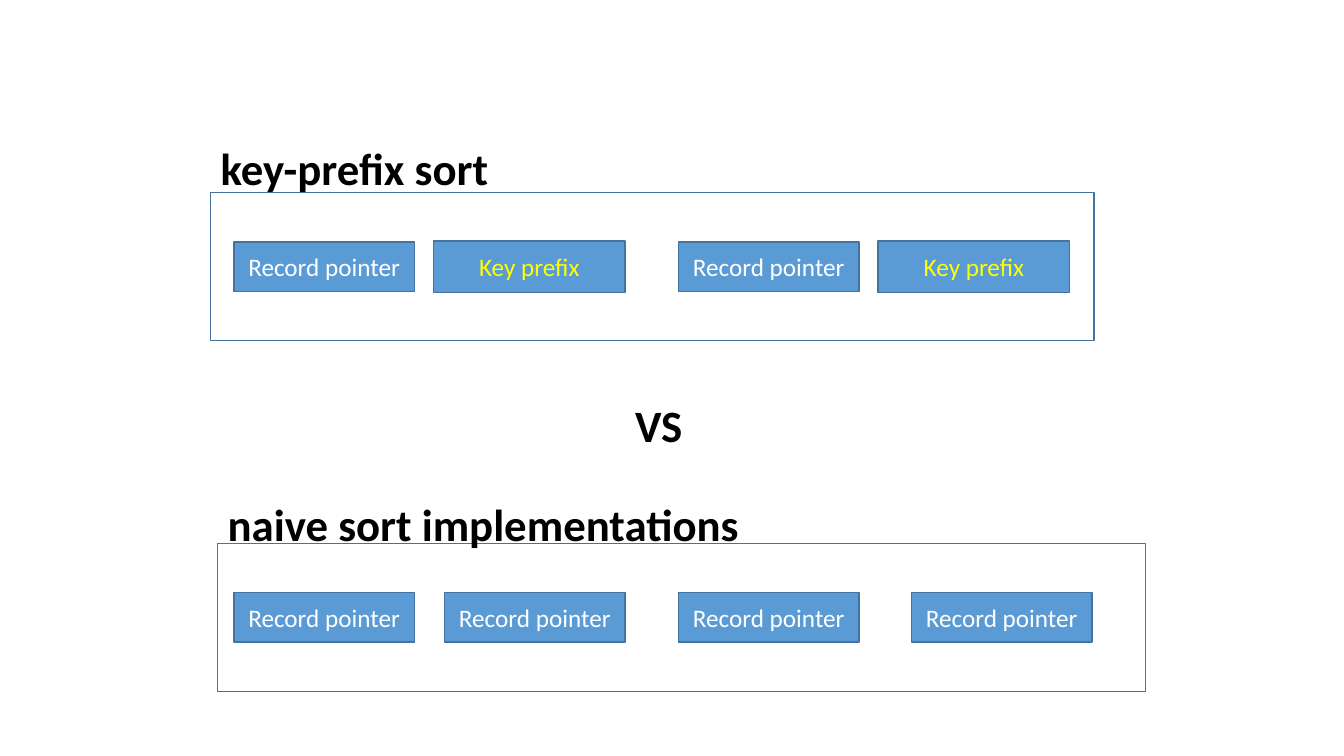
from pptx import Presentation
from pptx.dml.color import RGBColor
from pptx.enum.shapes import MSO_SHAPE
from pptx.enum.text import MSO_ANCHOR, MSO_AUTO_SIZE, PP_ALIGN
from pptx.util import Inches, Pt

BLUE = RGBColor(0x5B, 0x9B, 0xD5)
OUTLINE = RGBColor(0x43, 0x73, 0x9E)
WHITE = RGBColor(0xFF, 0xFF, 0xFF)
YELLOW = RGBColor(0xFF, 0xFF, 0x00)
BLACK = RGBColor(0x00, 0x00, 0x00)

prs = Presentation()
prs.slide_width = Inches(13.33)
prs.slide_height = Inches(7.5)
slide = prs.slides.add_slide(prs.slide_layouts[6])


def add_box(left, top, width, height):
    box = slide.shapes.add_shape(
        MSO_SHAPE.RECTANGLE, Inches(left), Inches(top), Inches(width), Inches(height))
    box.shadow.inherit = False
    box.line.color.rgb = OUTLINE
    box.line.width = Pt(1)
    return box


def add_field(label, left, top, width, height, color):
    field = add_box(left, top, width, height)
    field.fill.solid()
    field.fill.fore_color.rgb = BLUE
    frame = field.text_frame
    frame.vertical_anchor = MSO_ANCHOR.MIDDLE
    label_line = frame.paragraphs[0]
    label_line.text = label
    label_line.alignment = PP_ALIGN.CENTER
    label_line.font.name = "Calibri"
    label_line.font.size = Pt(18)
    label_line.font.color.rgb = color


# Frames around each sort's array
for left, top, width in [(2.09, 1.91, 8.76), (2.16, 5.39, 9.2)]:
    add_box(left, top, width, 1.47).fill.background()

# Key-prefix sort: pairs of pointer and prefix
for pair_left in (2.32, 6.73):
    add_field("Record pointer", pair_left, 2.4, 1.79, 0.49, WHITE)
    add_field("Key prefix", pair_left + 1.98, 2.39, 1.9, 0.51, YELLOW)

# Naive sort: pointers only
for pointer_left in (2.32, 4.41, 6.73, 9.04):
    add_field("Record pointer", pointer_left, 5.88, 1.79, 0.49, WHITE)

# Headings
for heading, left, top, width in [
    ("key-prefix sort", 2.09, 1.35, 2.89),
    ("VS", 6.2, 3.9, 0.68),
    ("naive sort implementations", 2.16, 4.88, 5.32),
]:
    frame = slide.shapes.add_textbox(
        Inches(left), Inches(top), Inches(width), Inches(0.64)).text_frame
    frame.word_wrap = False
    frame.auto_size = MSO_AUTO_SIZE.SHAPE_TO_FIT_TEXT
    heading_line = frame.paragraphs[0]
    heading_line.text = heading
    heading_line.font.name = "Calibri"
    heading_line.font.size = Pt(32)
    heading_line.font.bold = True
    heading_line.font.color.rgb = BLACK

prs.save("out.pptx")
